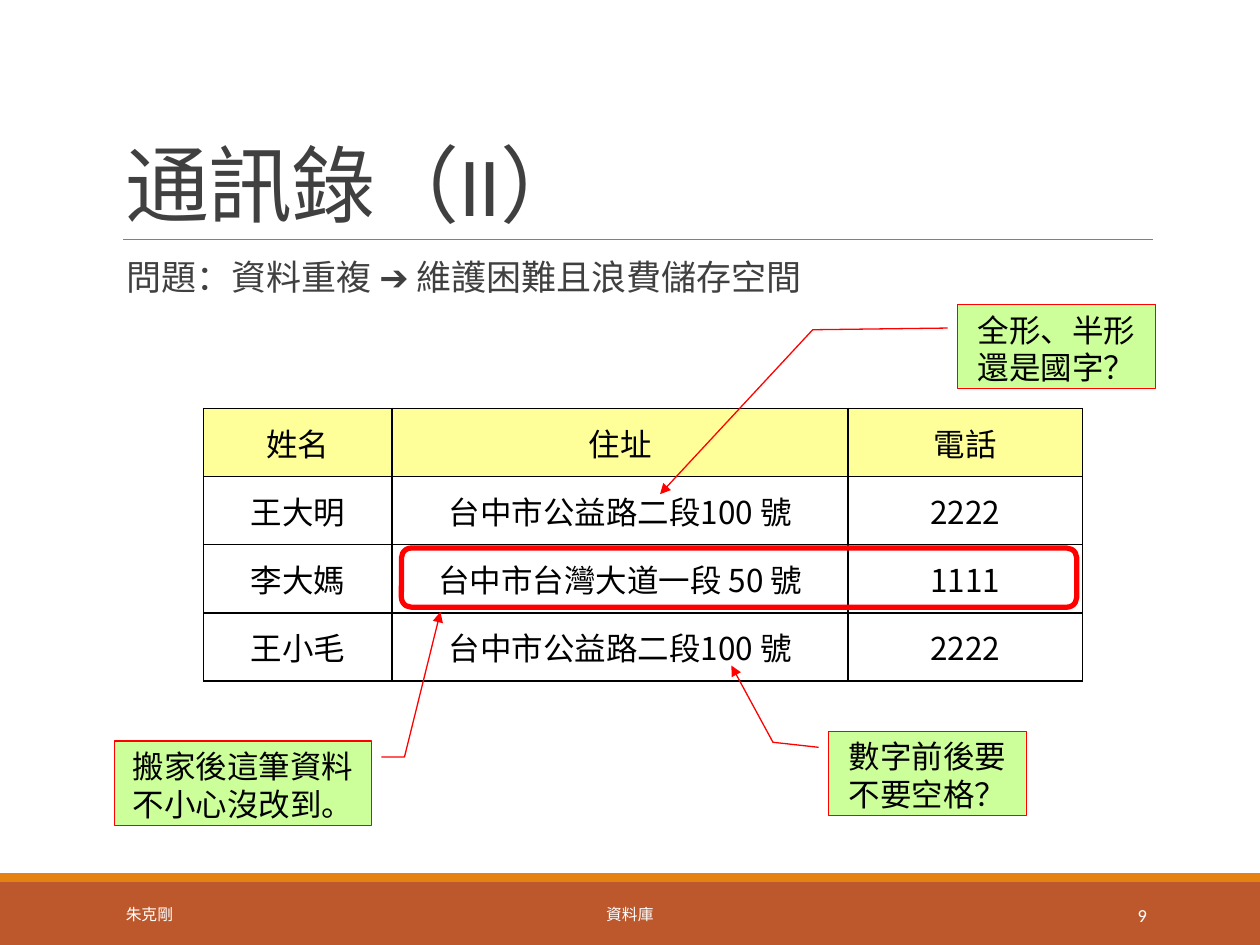
"""Build the address book slide with its table and callouts."""
from lxml.etree import SubElement
from pptx import Presentation
from pptx.dml.color import RGBColor
from pptx.enum.shapes import MSO_CONNECTOR, MSO_SHAPE as SHAPE
from pptx.enum.text import MSO_ANCHOR as ANCHOR, PP_ALIGN as ALIGN
from pptx.oxml import parse_xml
from pptx.oxml.ns import nsdecls, qn
from pptx.util import Pt

COLORS = {"rust": "BD582C", "orange": "E48312", "gray": "808080", "ink": "404040",
          "white": "FFFFFF", "black": "000000", "yellow": "FFFF99",
          "green": "CCFF99", "red": "FF0000"}
LATIN, CJK = "Calibri", "Noto Sans CJK TC"

TITLE = "通訊錄（II）"
PROBLEM = "問題：資料重複 ➔ 維護困難且浪費儲存空間"
FOOTERS = [
    ("朱克剛", 64.8, 146.2, 9, ALIGN.LEFT),
    ("資料庫", 217.4, 285.1, 9, ALIGN.CENTER),
    ("9", 584.6, 77.8, 10.5, ALIGN.RIGHT),
]
ROWS = [
    ("姓名", "住址", "電話"),
    ("王大明", "台中市公益路二段100 號", "2222"),
    ("李大媽", "台中市台灣大道一段 50 號", "1111"),
    ("王小毛", "台中市公益路二段100 號", "2222"),
]
COL_WIDTHS = (107.8, 260.6, 133.9)
ROW_HEIGHT = 39
CALLOUTS = [
    ("數字前後要不要空格？", (473.4, 417.9, 113.3, 48.2),
     (0.19, -0.05, 0.13, -0.28, -0.78, -0.49)),
    ("全形、半形還是國字？", (547.1, 174, 113.3, 48.2),
     (0.28, -0.05, 0.3, -0.73, 2.25, -1.5)),
    ("搬家後這筆資料不小心沒改到。", (65.5, 423.4, 146.6, 48.2),
     (0.19, 1.04, 0.19, 1.13, -1.53, 1.27)),
]


def rgb(name):
    return RGBColor.from_string(COLORS[name])


def write(tf, text, size, color, align=ALIGN.LEFT, font=LATIN, anchor=ANCHOR.TOP):
    tf.word_wrap = True
    tf.vertical_anchor = anchor
    p = tf.paragraphs[0]
    p.text, p.alignment = text, align
    p.font.name, p.font.size = font, Pt(size)
    p.font.color.rgb = rgb(color)
    SubElement(p._p.pPr.find(qn("a:defRPr")), qn("a:ea")).set("typeface", CJK)
    return p


def add_text(box, *args, **kwargs):
    tf = s.shapes.add_textbox(*map(Pt, box)).text_frame
    return write(tf, *args, **kwargs)


def add_shape(kind, box, fill=None, line=None, width=0.75):
    sp = s.shapes.add_shape(kind, *map(Pt, box))
    sp.shadow.inherit = False
    for part, color in ((sp.fill, fill), (sp.line.fill, line)):
        if color:
            part.solid()
            part.fore_color.rgb = rgb(color)
        else:
            part.background()
    if line:
        sp.line.width = Pt(width)
    return sp


def add_borders(cell):
    tcPr = cell._tc.get_or_add_tcPr()
    for i, side in enumerate(("lnL", "lnR", "lnT", "lnB")):
        tcPr.insert(i, parse_xml(
            f'<a:{side} {nsdecls("a")} w="12700"><a:solidFill>'
            f'<a:srgbClr val="{COLORS["black"]}"/></a:solidFill></a:{side}>'))


prs = Presentation()
prs.slide_width, prs.slide_height = Pt(720), Pt(540)
s = prs.slides.add_slide(prs.slide_layouts[6])

add_shape(SHAPE.RECTANGLE, (0, 504, 720, 36), "rust")
add_shape(SHAPE.RECTANGLE, (0, 499, 720, 5), "orange")
rule = s.shapes.add_connector(MSO_CONNECTOR.STRAIGHT, Pt(70.5), Pt(136.8), Pt(658.8), Pt(136.8))
rule.line.color.rgb, rule.line.width = rgb("gray"), Pt(0.5)
SubElement(rule._element.spPr, qn("a:effectLst"))

p = add_text((64.8, 22.3, 594, 114.5), TITLE, 48, "ink", anchor=ANCHOR.BOTTOM)
p.line_spacing = 0.85
p._p.pPr.find(qn("a:defRPr")).set("spc", "-50")

p = add_text((72, 145.4, 586.8, 316.8), PROBLEM, 20, "ink")
p.line_spacing, p.space_before, p.space_after = 0.9, Pt(12), Pt(2)
s.shapes[-1].text_frame.margin_left = s.shapes[-1].text_frame.margin_right = 0

for text, left, width, size, align in FOOTERS:
    add_text((left, 508.3, width, 28.8), text, size, "white", align, anchor=ANCHOR.MIDDLE)

table = s.shapes.add_table(len(ROWS), len(COL_WIDTHS), Pt(116.3), Pt(233.3),
                           Pt(sum(COL_WIDTHS)), Pt(ROW_HEIGHT * len(ROWS))).table
table.horz_banding = table.first_row = False
for col, width in zip(table.columns, COL_WIDTHS):
    col.width = Pt(width)
for r, row in enumerate(ROWS):
    table.rows[r].height = Pt(ROW_HEIGHT)
    for c, text in enumerate(row):
        cell = table.cell(r, c)
        write(cell.text_frame, text, 18, "black", ALIGN.CENTER, CJK)
        cell.vertical_anchor = ANCHOR.MIDDLE
        if r == 0:
            cell.fill.solid()
            cell.fill.fore_color.rgb = rgb("yellow")
        else:
            cell.fill.background()
        add_borders(cell)

add_shape(SHAPE.ROUNDED_RECTANGLE, (229.4, 313.2, 385.9, 33.8), line="red", width=3)

for text, box, leader in CALLOUTS:
    sp = add_shape(SHAPE.LINE_CALLOUT_2, box, "green", "red")
    for i, value in enumerate(leader):
        sp.adjustments[i] = value
    SubElement(sp.line._get_or_add_ln(), qn("a:tailEnd")).set("type", "triangle")
    write(sp.text_frame, text, 18, "black", ALIGN.CENTER)

prs.save("out.pptx")
